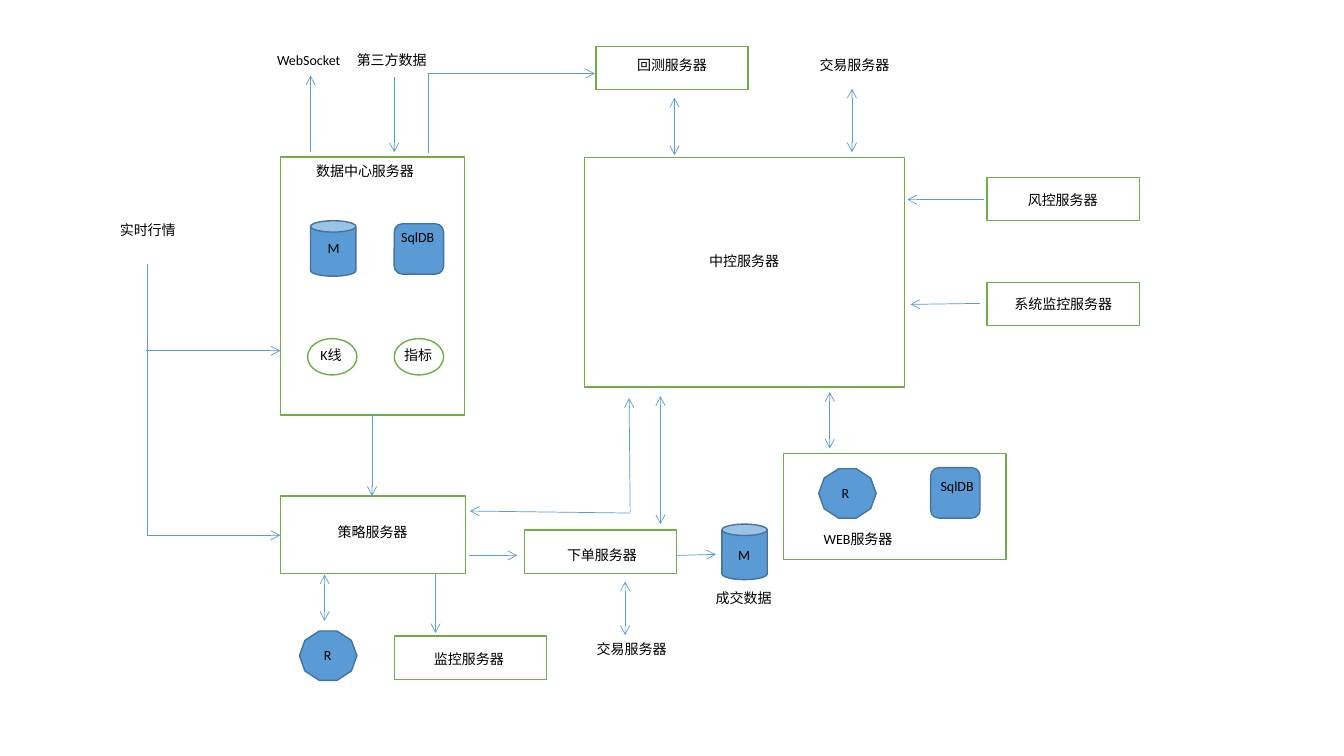
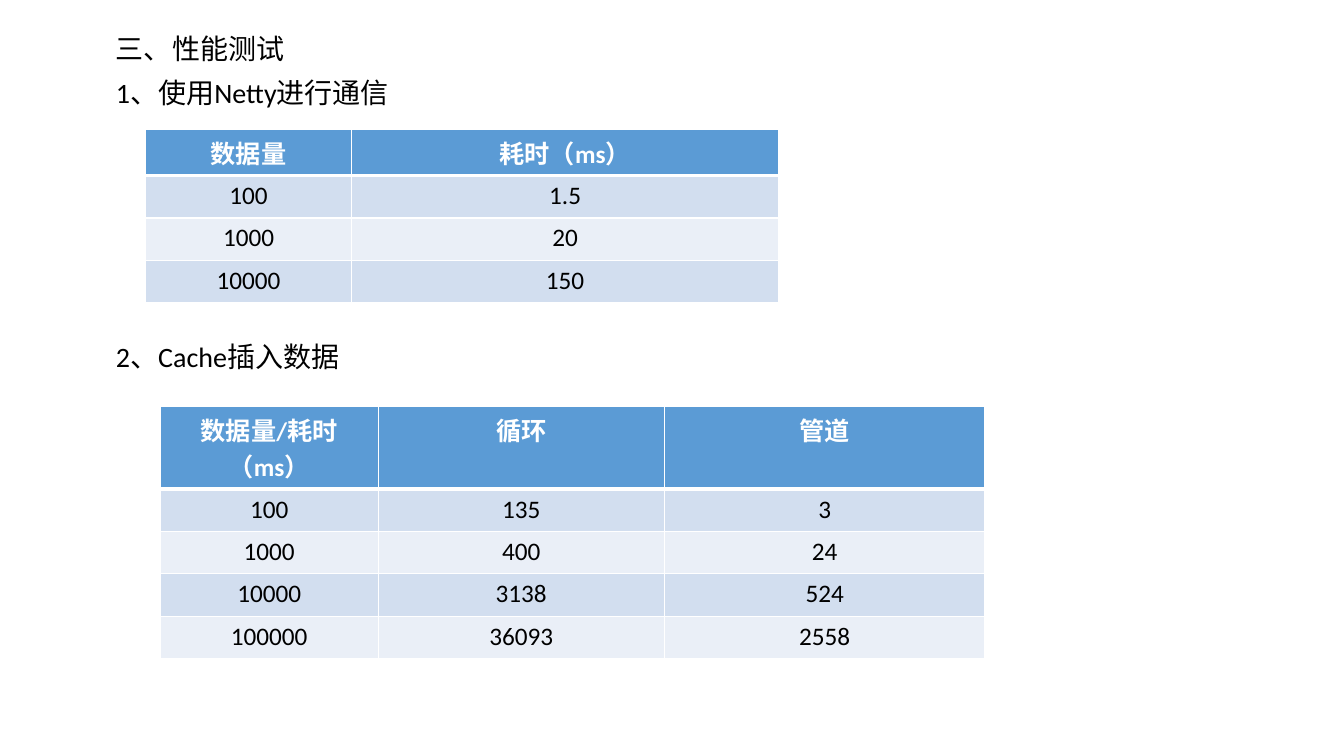
from lxml.etree import SubElement as Sub
from pptx import Presentation
from pptx.dml.color import RGBColor as Rgb
from pptx.enum.shapes import MSO_CONNECTOR as Link, MSO_SHAPE as Kind
from pptx.enum.text import MSO_ANCHOR as Anchor, PP_ALIGN as Align
from pptx.oxml.ns import qn
from pptx.util import Inches, Pt

HUES = {"blue": "5B9BD5", "edge": "43739E", "green": "70AD47", "white": "FFFFFF",
        "black": "000000", "dark": "D2DEEF", "light": "EAEFF7"}
LABEL = {"name": "Calibri", "size": Pt(10)}
BODY = {"name": "Calibri", "size": Pt(20)}
CELL = {"name": "Calibri", "size": Pt(18), "bold": False}
HEAD = {**CELL, "bold": True}
LEFT, MID = Align.LEFT, Align.CENTER


def hue(name):
    return Rgb.from_string(HUES[name])


def write(para, text, style, align=LEFT, tint="black"):
    para.text = text
    para.alignment = align
    font = para.runs[0].font
    for key, val in style.items():
        setattr(font, key, val)
    font.color.rgb = hue(tint)


deck = Presentation()
deck.slide_width, deck.slide_height = Inches(13.33), Inches(7.5)

chart = deck.slides.add_slide(deck.slide_layouts[6])

forms = {
    (Kind.RECTANGLE, "white", "green"): [
        (5.8, 1.56, 3.17, 2.28), (2.78, 1.56, 1.83, 2.56), (7.77, 4.5, 2.21, 1.05),
        (2.78, 4.92, 1.84, 0.77), (5.91, 0.46, 1.51, 0.43), (9.79, 1.76, 1.51, 0.43),
        (9.79, 2.8, 1.51, 0.43), (3.91, 6.31, 1.51, 0.43), (5.2, 5.26, 1.51, 0.43)],
    (Kind.CAN, "blue", "edge"): [(7.16, 5.2, 0.45, 0.55), (3.08, 2.19, 0.45, 0.55)],
    (Kind.ROUNDED_RECTANGLE, "blue", "edge"): [
        (3.91, 2.22, 0.49, 0.5), (9.23, 4.64, 0.49, 0.5)],
    (Kind.DECAGON, "blue", "edge"): [(8.12, 4.65, 0.57, 0.49), (2.97, 6.26, 0.57, 0.49)],
    (Kind.OVAL, "white", "green"): [(3.05, 3.36, 0.49, 0.36), (3.91, 3.36, 0.49, 0.36)],
}
for (kind, fill, rim), spots in forms.items():
    for spot in spots:
        form = chart.shapes.add_shape(kind, *map(Inches, spot))
        form.shadow.inherit = False
        form.fill.solid()
        form.fill.fore_color.rgb = hue(fill)
        form.line.color.rgb = hue(rim)
        form.line.width = Pt(1)

labels = [
    ("中控服务器", 6.64, 2.46, 1.48, MID), ("回测服务器", 5.9, 0.51, 1.53, MID),
    ("策略服务器", 2.93, 5.14, 1.53, MID), ("风控服务器", 9.8, 1.85, 1.48, MID),
    ("系统监控服务器", 9.72, 2.88, 1.65, MID), ("数据中心服务器", 2.78, 1.56, 1.68, MID),
    ("WEB服务器", 7.77, 5.21, 1.48, MID), ("监控服务器", 3.91, 6.4, 1.48, MID),
    ("下单服务器", 5.23, 5.37, 1.48, MID), ("M", 3.15, 2.33, 0.28, LEFT),
    ("SqlDB", 3.88, 2.22, 0.82, LEFT), ("SqlDB", 9.23, 4.69, 0.82, LEFT),
    ("R", 3.15, 6.36, 0.16, LEFT), ("R", 8.25, 4.76, 0.2, LEFT),
    ("K线", 3.08, 3.39, 0.66, LEFT), ("指标", 3.91, 3.39, 0.66, LEFT),
    ("交易服务器", 8.03, 0.51, 1.69, LEFT), ("交易服务器", 5.82, 6.31, 1.69, LEFT),
    ("实时行情", 1.09, 2.15, 1.69, LEFT), ("第三方数据", 3.44, 0.46, 1.02, LEFT),
    ("WebSocket", 2.65, 0.46, 1.04, LEFT), ("M", 7.26, 5.37, 0.16, LEFT),
    ("成交数据", 7, 5.8, 1.69, LEFT),
]
for text, left, top, width, align in labels:
    box = chart.shapes.add_textbox(*map(Inches, (left, top, width, 0.27)))
    box.text_frame.word_wrap = True
    write(box.text_frame.paragraphs[0], text, LABEL, align)

ONE, BOTH = ["tailEnd"], ["headEnd", "tailEnd"]
links = {
    (Link.ELBOW, "one"): [(1.46, 2.62, 2.78, 5.31), (4.25, 1.51, 5.9, 0.73)],
    (Link.STRAIGHT, "one"): [
        (1.45, 3.48, 2.78, 3.48), (3.69, 4.11, 3.69, 4.92), (4.32, 5.69, 4.32, 6.28),
        (4.65, 5.51, 5.13, 5.51), (6.25, 5.08, 6.24, 3.95), (6.25, 5.09, 4.66, 5.07),
        (9.76, 1.98, 9, 1.98), (9.72, 3.01, 9.03, 3.02), (3.91, 0.76, 3.91, 1.51),
        (3.08, 1.51, 3.08, 0.75), (6.71, 5.51, 7.1, 5.5)],
    (Link.STRAIGHT, "both"): [
        (3.22, 5.7, 3.22, 6.16), (6.2, 5.77, 6.2, 6.3), (8.23, 3.89, 8.23, 4.45),
        (8.45, 0.88, 8.45, 1.51), (6.69, 0.97, 6.69, 1.54), (6.55, 3.93, 6.55, 5.2)],
}
for (kind, ends), spots in links.items():
    for spot in spots:
        link = chart.shapes.add_connector(kind, *map(Inches, spot))
        link.line.color.rgb = hue("blue")
        link.line.width = Pt(0.5)
        props = link._element.spPr
        for end in BOTH if ends == "both" else ONE:
            Sub(props.find(qn("a:ln")), qn("a:" + end), type="arrow")
        Sub(props, qn("a:effectLst"))
        if kind == Link.ELBOW:
            guides = props.find(qn("a:prstGeom")).find(qn("a:avLst"))
            Sub(guides, qn("a:gd"), name="adj1", fmla="val 100")

tests = deck.slides.add_slide(deck.slide_layouts[1])
title = tests.shapes.title._element
title.getparent().remove(title)
body = tests.placeholders[1]
place = {"left": 1.05, "top": 0.3, "width": 11.63, "height": 6.8}
for key, val in place.items():
    setattr(body, key, Inches(val))
frame = body.text_frame
frame.vertical_anchor = Anchor.TOP
lines = [("三、性能测试", 10), ("1、使用Netty进行通信", 10), ("2、Cache插入数据", 167)]
for num, (text, gap) in enumerate(lines):
    para = frame.add_paragraph() if num else frame.paragraphs[0]
    write(para, text, BODY)
    para.line_spacing = 0.9
    para.space_before = Pt(gap)
    props = para._p.get_or_add_pPr()
    props.set("marL", "0")
    props.set("indent", "0")
    Sub(props, qn("a:buNone"))

grids = [
    (1.44, 1.28, [2.05, 4.23],
     [["数据量", "耗时（ms）"], ["100", "1.5"], ["1000", "20"], ["10000", "150"]]),
    (1.59, 4.03, [2.16, 2.84, 3.18],
     [["数据量/耗时（ms）", "循环", "管道"], ["100", "135", "3"], ["1000", "400", "24"],
      ["10000", "3138", "524"], ["100000", "36093", "2558"]]),
]
for left, top, widths, rows in grids:
    size = (left, top, sum(widths), 0.42 * len(rows))
    grid = tests.shapes.add_table(len(rows), len(widths), *map(Inches, size)).table
    for col, width in zip(grid.columns, widths):
        col.width = Inches(width)
    for r, row in enumerate(rows):
        grid.rows[r].height = Inches(0.42)
        for c, text in enumerate(row):
            cell = grid.cell(r, c)
            write(cell.text_frame.paragraphs[0], text, CELL if r else HEAD, MID,
                  "black" if r else "white")
            props = cell._tc.get_or_add_tcPr()
            for side in "LRTB":
                thick = 3 if (r, side) in [(0, "B"), (1, "T")] else 1
                rule = Sub(props, qn("a:ln" + side), w=str(Pt(thick)))
                Sub(Sub(rule, qn("a:solidFill")), qn("a:srgbClr"), val=HUES["white"])
            cell.fill.solid()
            cell.fill.fore_color.rgb = hue(("light", "dark")[r % 2] if r else "blue")

deck.save("out.pptx")
